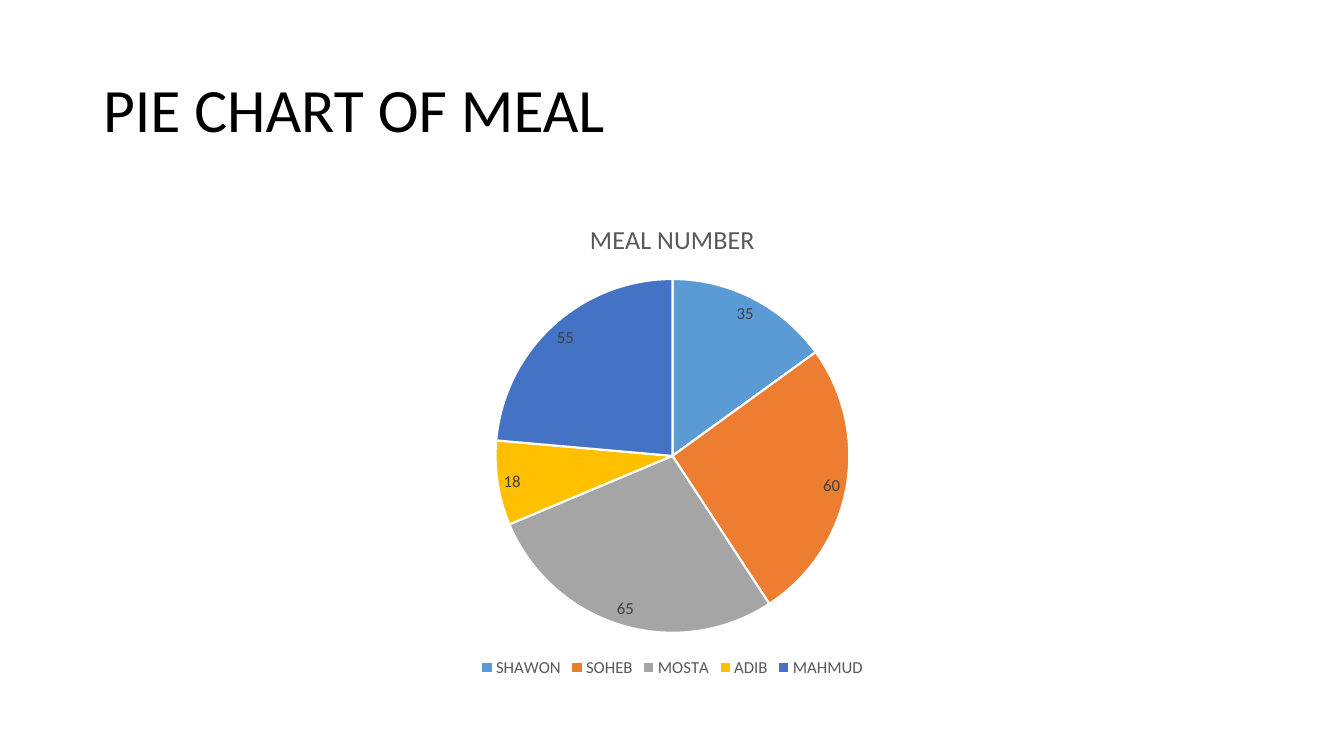
"""Build a slide with a pie chart of meals per person."""
import pptx
import pptx.chart.data
import pptx.dml.color
import pptx.enum.chart
import pptx.enum.text
import pptx.util

EMU_PER_PX = 914400 / 100.8


def px(length):
    return pptx.util.Emu(round(length * EMU_PER_PX))


def style(font, size, colour):
    font.name = "Calibri"
    font.size = pptx.util.Pt(size)
    font.bold = False
    font.color.rgb = pptx.dml.color.RGBColor.from_string(colour)


meals = {
    "SHAWON": (35, "5B9BD5"),
    "SOHEB": (60, "ED7D31"),
    "MOSTA": (65, "A5A5A5"),
    "ADIB": (18, "FFC000"),
    "MAHMUD": (55, "4472C4"),
}

deck = pptx.Presentation()
deck.slide_width, deck.slide_height = px(1344), px(756)
slide = deck.slides.add_slide(deck.slide_layouts.get_by_name("Title Only"))

heading = slide.shapes.title
heading.left, heading.top, heading.width, heading.height = px(93), px(40), px(1159), px(146)
heading.text_frame.vertical_anchor = pptx.enum.text.MSO_ANCHOR.MIDDLE
heading_line = heading.text_frame.paragraphs[0]
heading_line.alignment = pptx.enum.text.PP_ALIGN.LEFT
heading_line.line_spacing = 0.9
heading_words = heading_line.add_run()
heading_words.text = "PIE CHART OF MEAL"
style(heading_words.font, 44, "000000")

meal_data = pptx.chart.data.CategoryChartData()
meal_data.categories = list(meals)
meal_data.add_series("MEAL NUMBER", [number for number, colour in meals.values()])
meal_pie = slide.shapes.add_chart(
    pptx.enum.chart.XL_CHART_TYPE.PIE, px(93), px(202), px(1159), px(480), meal_data
).chart
style(meal_pie.font, 10, "000000")

meal_pie.has_title = True
meal_pie.chart_title.include_in_layout = False
pie_caption = meal_pie.chart_title.text_frame.paragraphs[0].add_run()
pie_caption.text = "MEAL NUMBER"
style(pie_caption.font, 18.6, "595959")

meal_pie.has_legend = True
meal_pie.legend.position = pptx.enum.chart.XL_LEGEND_POSITION.BOTTOM
meal_pie.legend.include_in_layout = False
style(meal_pie.legend.font, 12, "595959")

pie_plot = meal_pie.plots[0]
pie_plot.vary_by_categories = True
meal_numbers = pie_plot.series[0]
for index, (number, colour) in enumerate(meals.values()):
    slice_format = meal_numbers.points[index].format
    slice_format.fill.solid()
    slice_format.fill.fore_color.rgb = pptx.dml.color.RGBColor.from_string(colour)
    slice_format.line.color.rgb = pptx.dml.color.RGBColor.from_string("FFFFFF")
    slice_format.line.width = pptx.util.Pt(1.5)

slice_labels = meal_numbers.data_labels
slice_labels.show_value = True
slice_labels.position = pptx.enum.chart.XL_LABEL_POSITION.BEST_FIT
style(slice_labels.font, 12, "404040")

deck.save("out.pptx")
